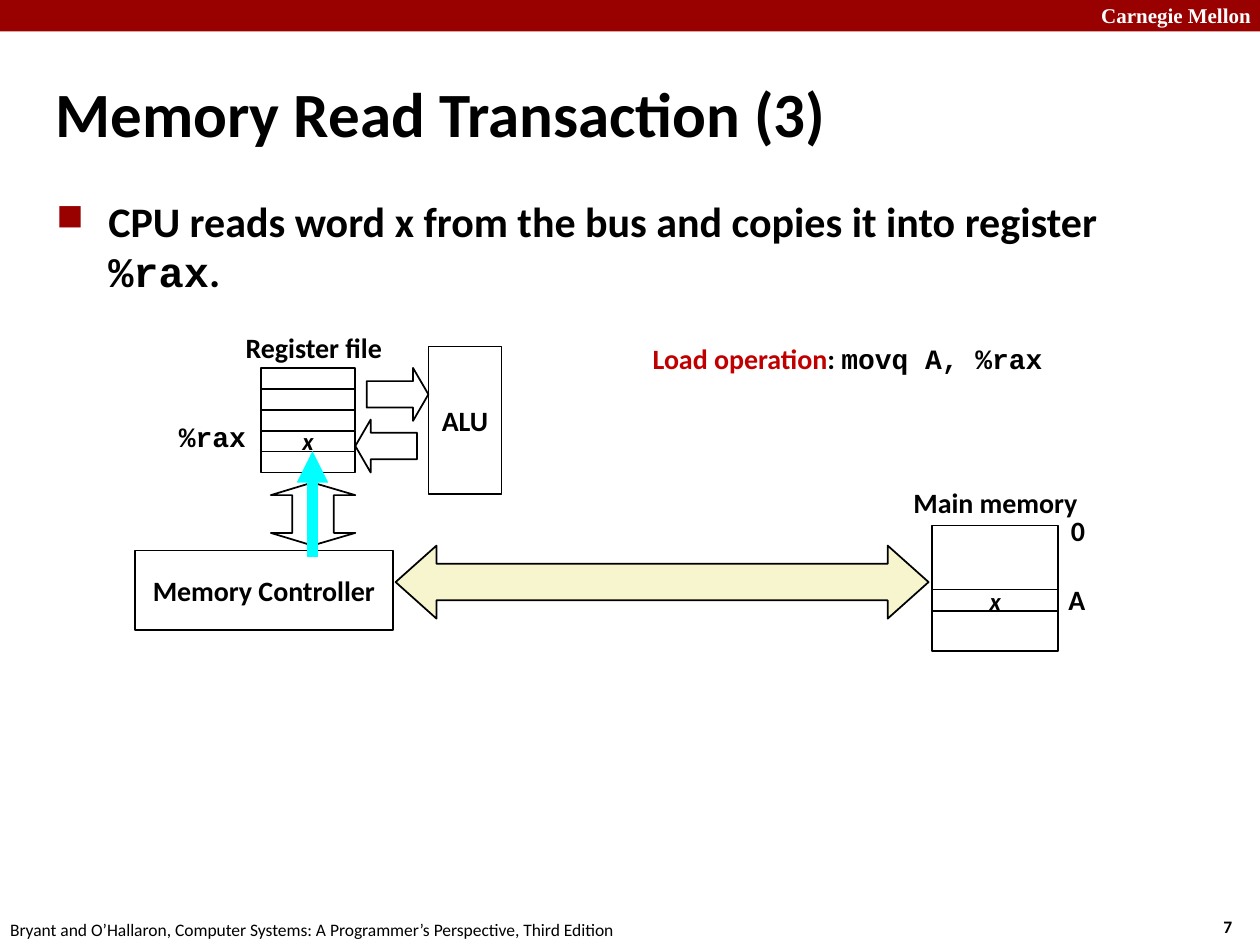
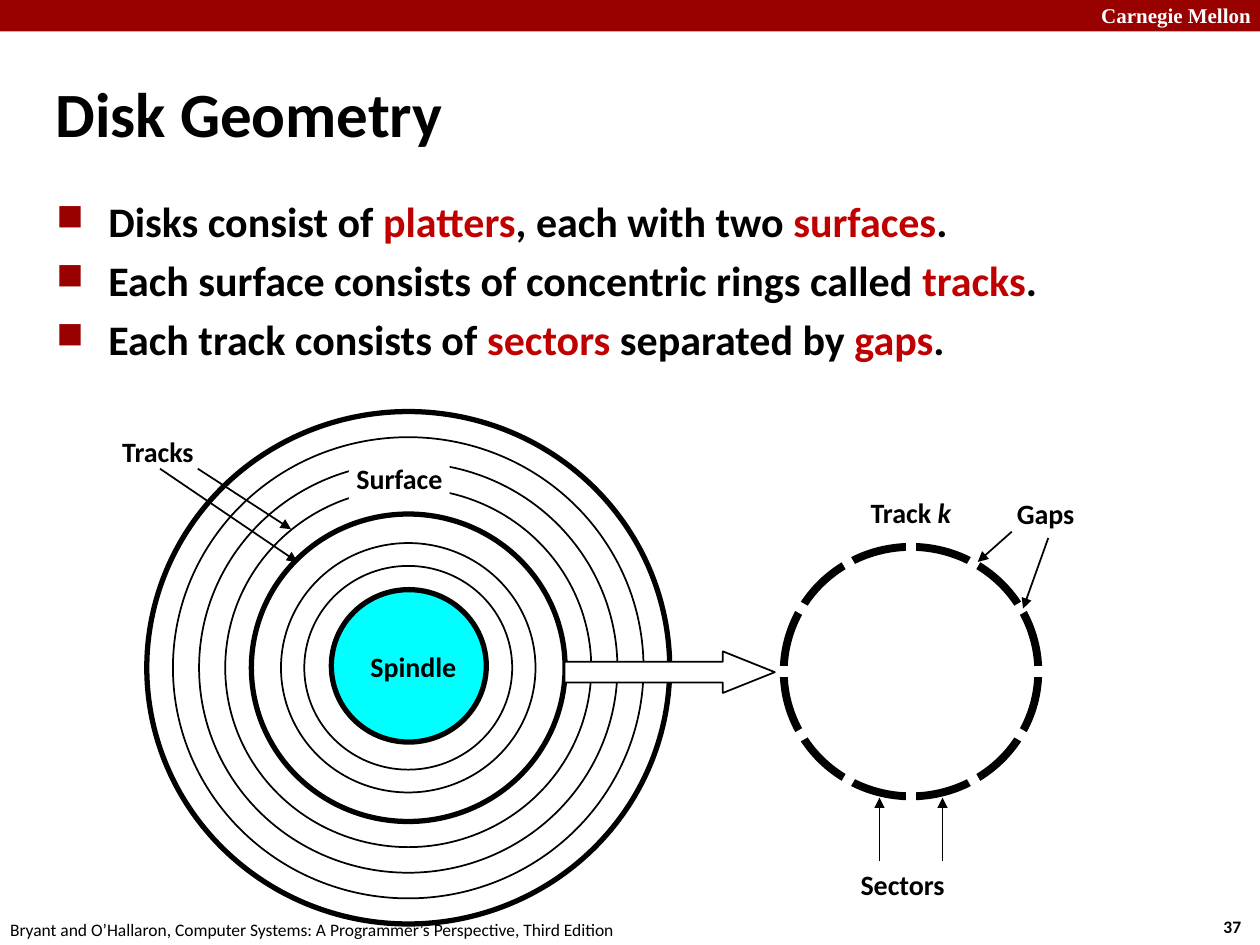
from dataclasses import dataclass
from math import cos, radians, sin

from lxml.etree import SubElement
from pptx import Presentation
from pptx.dml.color import RGBColor
from pptx.enum.shapes import MSO_CONNECTOR, MSO_SHAPE
from pptx.enum.text import MSO_ANCHOR, MSO_AUTO_SIZE, PP_ALIGN
from pptx.oxml.ns import qn
from pptx.util import Inches, Pt


@dataclass(frozen=True)
class Theme:
    black: str = "000000"
    white: str = "FFFFFF"
    band: str = "990000"
    red: str = "C00000"
    cyan: str = "00FFFF"
    bus: str = "F7F5CD"
    sans: str = "Calibri"
    mono: str = "Courier New"
    serif: str = "Times New Roman"
    symbols: str = "Wingdings 2"
    title: int = 36
    body: int = 24
    label: int = 16
    word: int = 14
    brand: int = 12
    small: int = 10


T = Theme()

# A paragraph is a string or a list of runs; a run is a string or (text, format).
RED = {"color": T.red}
CODE = {"font": T.mono}
ITALIC = {"italic": True}

BRAND = "Carnegie Mellon"
CREDIT = "Bryant and O’Hallaron, Computer Systems: A Programmer’s Perspective, Third Edition"
SQUARE = "¢"  # a filled square in the symbol font

READ_TITLE, READ_NUMBER = "Memory Read Transaction (3)", "7"
READ_BULLETS = [
    ["CPU reads word x from the bus and copies it into register ", ("%rax", CODE), "."],
]
READ_LABELS = [  # paragraph, box
    ("Register file", (1.9, 2.59, 1.2, 0.33)),
    ("Main memory", (7.2, 3.82, 1.4, 0.33)),
    ("0", (8.45, 4.04, 0.23, 0.33)),
    ("A", (8.43, 4.59, 0.25, 0.33)),
    ([("%rax", CODE)], (1.37, 3.29, 0.65, 0.35)),
    ([("Load operation", RED), ": ", ("movq A, %rax", CODE)], (5.13, 2.67, 3.22, 0.35)),
]
REGISTER_FILE = (2.07, 2.92, 0.75, 0.83)
REGISTERS, RAX = 5, 3
REGISTER_BUS = [
    (2.15, 3.93), (2.48, 3.83), (2.82, 3.93), (2.65, 3.93), (2.65, 4.23),
    (2.82, 4.23), (2.48, 4.33), (2.15, 4.23), (2.32, 4.23), (2.32, 3.93),
]

DISK_TITLE, DISK_NUMBER = "Disk Geometry", "37"
DISK_BULLETS = [
    ["Disks consist of ", ("platters", RED), ", each with two ", ("surfaces", RED), "."],
    ["Each surface consists of concentric rings called ", ("tracks", RED), "."],
    ["Each track consists of ", ("sectors ", RED), "separated by ", ("gaps", RED), "."],
]
DISK_LABELS = [
    ("Tracks", (0.92, 3.42, 0.68, 0.33)),
    (["Track ", ("k", ITALIC)], (6.86, 3.9, 0.75, 0.33)),
    ("Sectors", (6.78, 6.85, 0.78, 0.33)),
    ("Gaps", (8.02, 3.91, 0.57, 0.33)),
]
DISK_POINTERS = [  # start, tip
    ((1.27, 3.72), (2.36, 4.46)),
    ((1.57, 3.72), (2.31, 4.2)),
    ((6.98, 6.83), (6.98, 6.33)),
    ((7.48, 6.83), (7.48, 6.33)),
    ((8.03, 4.22), (7.76, 4.46)),
    ((8.32, 4.27), (8.12, 4.83)),
]
DISK_CENTRE, ROUNDNESS = (3.24, 5.3), 0.98
RINGS = [(4.15 - 0.415 * i, 3 if i in (0, 4) else 1) for i in range(5)]
RINGS += [(2.02, 1), (1.65, 1)]  # width, line weight
TRACK_CENTRE, SECTORS = (7.23, 5.33), 12


def rgb(color):
    return RGBColor.from_string(color)


def write(tf, paragraphs, size=T.label, font=T.sans, color=T.black, bold=True,
          align=PP_ALIGN.LEFT, anchor=MSO_ANCHOR.MIDDLE, wrap=False, inset=0.05,
          bullets=False):
    tf.auto_size = MSO_AUTO_SIZE.NONE
    tf.word_wrap = wrap
    tf.vertical_anchor = anchor
    tf.margin_left = tf.margin_right = tf.margin_top = tf.margin_bottom = Inches(inset)
    for i, runs in enumerate(paragraphs):
        p = tf.add_paragraph() if i else tf.paragraphs[0]
        p.alignment = align
        if i:
            p.space_before = Pt(5)
        if bullets:
            add_bullet(p)
        for run in [runs] if isinstance(runs, str) else runs:
            text, own = (run, {}) if isinstance(run, str) else run
            r = p.add_run()
            r.text = text
            r.font.size = Pt(size)
            r.font.bold = bold
            r.font.italic = own.get("italic", False)
            r.font.name = own.get("font", font)
            r.font.color.rgb = rgb(own.get("color", color))


def add_bullet(p):
    pPr = p._p.get_or_add_pPr()
    pPr.set("marL", str(Inches(0.38)))
    pPr.set("indent", str(-Inches(0.38)))
    SubElement(SubElement(pPr, qn("a:buClr")), qn("a:srgbClr"), val=T.band)
    SubElement(pPr, qn("a:buSzPct"), val="60000")
    SubElement(pPr, qn("a:buFont"), typeface=T.symbols, charset="2")
    SubElement(pPr, qn("a:buChar"), char=SQUARE)


def add_text(slide, paragraphs, box, **fmt):
    sp = slide.shapes.add_textbox(*map(Inches, box))
    write(sp.text_frame, paragraphs, **fmt)


def paint(sp, fill=None, line=T.black, weight=1):
    sp.shadow.inherit = False
    if fill:
        sp.fill.solid()
        sp.fill.fore_color.rgb = rgb(fill)
    else:
        sp.fill.background()
    if line:
        sp.line.color.rgb = rgb(line)
        sp.line.width = Pt(weight)
    else:
        sp.line.fill.background()


def add_shape(slide, kind, box, fill=None, line=T.black, weight=1, adj=(), text=None, **fmt):
    sp = slide.shapes.add_shape(kind, *map(Inches, box))
    for i, value in enumerate(adj):
        sp.adjustments[i] = value
    paint(sp, fill, line, weight)
    if text:
        write(sp.text_frame, [text], align=PP_ALIGN.CENTER, **fmt)


def add_outline(slide, points):
    start, *rest = [(Inches(x), Inches(y)) for x, y in points]
    builder = slide.shapes.build_freeform(*start)
    builder.add_line_segments(rest, close=True)
    paint(builder.convert_to_shape())


def add_line(slide, start, end, color=T.black, weight=1, arrow=True):
    c = slide.shapes.add_connector(MSO_CONNECTOR.STRAIGHT, *map(Inches, start + end))
    c.line.color.rgb = rgb(color)
    c.line.width = Pt(weight)
    if arrow:
        SubElement(c.line._get_or_add_ln(), qn("a:tailEnd"), type="triangle")
    SubElement(c._element.spPr, qn("a:effectLst"))


def centred(centre, width, height):
    return centre[0] - width / 2, centre[1] - height / 2, width, height


def add_slide(prs, title, number, bullets):
    slide = prs.slides.add_slide(prs.slide_layouts[5])
    add_shape(slide, MSO_SHAPE.RECTANGLE, (0, 0, 10, 0.25), fill=T.band, line=None)
    add_text(slide, [BRAND], (8.69, -0.03, 1.33, 0.3), size=T.brand, font=T.serif,
             color=T.white)
    add_text(slide, [CREDIT], (0.03, 7.25, 4.92, 0.25), size=T.small, bold=False)
    add_text(slide, [number], (9.66, 7.23, 0.25, 0.25), size=T.small)
    sp = slide.shapes.title
    sp.left, sp.top, sp.width, sp.height = map(Inches, (0.39, 0.48, 8.3, 0.83))
    write(sp.text_frame, [title], size=T.title, wrap=True)
    add_text(slide, bullets, (0.43, 1.5, 8.64, 5.44), size=T.body,
             anchor=MSO_ANCHOR.TOP, wrap=True, bullets=True)
    return slide


def add_labels(slide, labels):
    for text, box in labels:
        add_text(slide, [text], box)


def build_memory_read(prs):
    slide = add_slide(prs, READ_TITLE, READ_NUMBER, READ_BULLETS)
    word = {"text": [("x", ITALIC)], "size": T.word, "inset": 0}

    left, top, width, height = REGISTER_FILE
    row = height / REGISTERS
    for i in range(REGISTERS):
        add_shape(slide, MSO_SHAPE.RECTANGLE, (left, top + i * row, width, row),
                  **(word if i == RAX else {}))
    add_shape(slide, MSO_SHAPE.RIGHT_ARROW, (2.91, 2.92, 0.49, 0.42), adj=(0.5, 0.29))
    add_shape(slide, MSO_SHAPE.LEFT_ARROW, (2.82, 3.33, 0.49, 0.42), adj=(0.5, 0.29))
    add_shape(slide, MSO_SHAPE.RECTANGLE, (3.4, 2.75, 0.58, 1.17), text="ALU")

    add_shape(slide, MSO_SHAPE.LEFT_RIGHT_ARROW, (3.14, 4.33, 4.23, 0.58),
              fill=T.bus, adj=(0.5, 0.56))
    add_outline(slide, REGISTER_BUS)
    add_shape(slide, MSO_SHAPE.RECTANGLE, (1.07, 4.37, 2.05, 0.63), fill=T.white,
              text="Memory Controller")
    add_line(slide, (2.48, 4.42), (2.48, 3.58), color=T.cyan, weight=6)

    add_shape(slide, MSO_SHAPE.RECTANGLE, (7.4, 4.17, 1, 1))
    add_shape(slide, MSO_SHAPE.RECTANGLE, (7.4, 4.68, 1, 0.17), **word)
    add_labels(slide, READ_LABELS)


def build_disk_geometry(prs):
    slide = add_slide(prs, DISK_TITLE, DISK_NUMBER, DISK_BULLETS)
    for width, weight in RINGS:
        add_shape(slide, MSO_SHAPE.OVAL, centred(DISK_CENTRE, width, width * ROUNDNESS),
                  weight=weight)
    add_shape(slide, MSO_SHAPE.OVAL, (2.63, 4.68, 1.23, 1.21), fill=T.cyan, weight=3)
    add_text(slide, ["Spindle"], (2.89, 5.12, 0.8, 0.33))
    add_shape(slide, MSO_SHAPE.RECTANGLE, (2.77, 3.63, 0.8, 0.33), fill=T.white,
              line=None, text="Surface")

    add_shape(slide, MSO_SHAPE.OVAL, centred(TRACK_CENTRE, 2.02, 1.98), weight=4.5)
    x, y = TRACK_CENTRE
    reach = 1.15
    for i in range(SECTORS):
        angle = radians(360 / SECTORS * i)
        gap = (x + reach * cos(angle), y + reach * sin(angle))
        add_line(slide, TRACK_CENTRE, gap, color=T.white, weight=6, arrow=False)
    add_shape(slide, MSO_SHAPE.RIGHT_ARROW, (4.48, 5.17, 1.67, 0.33), fill=T.white,
              adj=(0.5, 1.25))

    add_labels(slide, DISK_LABELS)
    for start, tip in DISK_POINTERS:
        add_line(slide, start, tip)


def main():
    prs = Presentation()
    prs.slide_width, prs.slide_height = Inches(10), Inches(7.5)
    build_memory_read(prs)
    build_disk_geometry(prs)
    prs.save("out.pptx")


if __name__ == "__main__":
    main()
